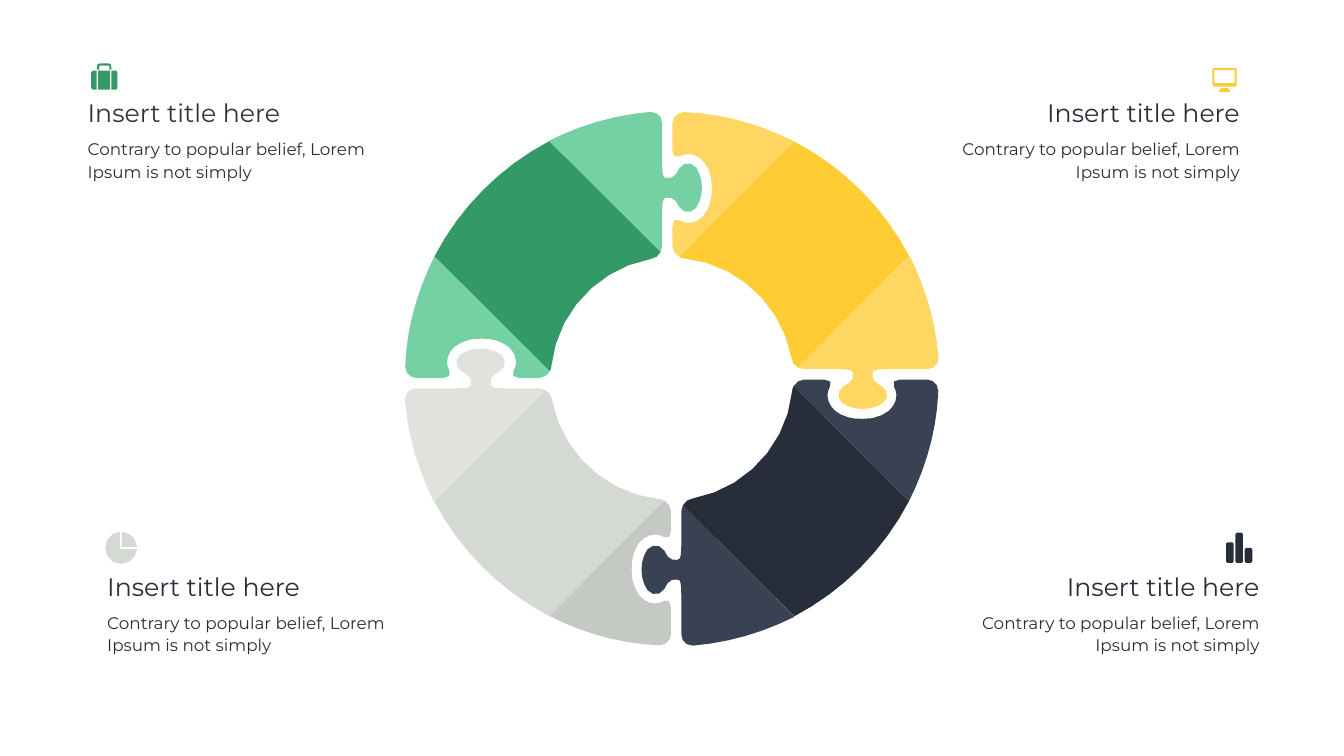
from dataclasses import dataclass
from math import ceil, dist, sqrt

from pptx import Presentation
from pptx.dml.color import RGBColor
from pptx.enum.shapes import MSO_SHAPE
from pptx.enum.text import MSO_AUTO_SIZE, PP_ALIGN
from pptx.util import Inches, Pt


@dataclass(frozen=True)
class Theme:
    font: str = "Montserrat"
    title_size: int = 36
    body_size: int = 24
    charcoal: str = "323232"
    green: str = "339966"
    light_green: str = "75D1A3"
    yellow: str = "FFCC33"
    light_yellow: str = "FFD661"
    navy: str = "272E3A"
    light_navy: str = "384253"
    grey: str = "D5D9D3"
    light_grey: str = "DFE2DD"
    dark_grey: str = "C5C9C3"


THEME = Theme()
RING_CENTER = (13.33, 7.515)

# Contours: a start point, then (x, y) lines or (x1, y1, x2, y2, x, y) Bezier curves.
# The three parts of the upper left ring piece; the other pieces are quarter turns of it.
CORE = [
    (12.91, 5.14), (13, 5.13, 13.07, 5.08, 13.11, 5), (10.9, 2.8),
    (9.93, 3.31, 9.13, 4.11, 8.62, 5.09), (10.91, 7.37),
    (10.93, 7.34, 10.94, 7.3, 10.94, 7.27), (11.05, 6.2, 11.87, 5.33, 12.91, 5.14),
]
SOCKET = [
    (8.04, 7.27), (8.04, 7.4, 8.14, 7.5, 8.26, 7.5), (8.8, 7.5),
    (8.93, 7.5, 8.95, 7.44, 8.92, 7.36), (8.89, 7.3, 8.87, 7.25, 8.87, 7.19),
    (8.87, 7.07, 8.93, 6.96, 9.02, 6.88), (9.16, 6.77, 9.34, 6.71, 9.55, 6.72),
    (9.76, 6.71, 9.95, 6.77, 10.09, 6.88), (10.18, 6.96, 10.24, 7.07, 10.24, 7.19),
    (10.24, 7.25, 10.22, 7.3, 10.19, 7.36), (10.14, 7.44, 10.18, 7.5, 10.31, 7.5),
    (10.7, 7.5), (10.79, 7.5, 10.87, 7.44, 10.91, 7.37), (8.62, 5.09),
    (8.29, 5.75, 8.07, 6.48, 8.04, 7.27),
]
TAB = [
    (13.14, 4.89), (13.14, 4.21), (13.14, 4.1, 13.15, 3.97, 13.17, 3.95),
    (13.22, 3.92), (13.29, 3.92, 13.37, 3.92, 13.41, 3.99),
    (13.48, 4.11), (13.56, 4.23, 13.72, 4.24, 13.81, 4.13),
    (13.89, 4.02, 13.93, 3.87, 13.93, 3.73), (13.93, 3.58, 13.89, 3.43, 13.81, 3.32),
    (13.72, 3.21, 13.56, 3.21, 13.48, 3.34), (13.41, 3.46),
    (13.37, 3.53, 13.29, 3.54, 13.22, 3.53), (13.17, 3.51),
    (13.15, 3.49, 13.14, 3.36, 13.14, 3.23), (13.14, 2.44),
    (13.14, 2.31, 13.04, 2.22, 12.91, 2.22), (12.19, 2.28, 11.52, 2.48, 10.9, 2.79),
    (13.11, 5), (13.14, 4.89),
]
CASE_HANDLE = [
    (1.97, 1.3), (2.17, 1.3), (2.17, 1.38), (2.21, 1.38), (2.21, 1.32),
    (2.21, 1.28, 2.19, 1.26, 2.16, 1.26), (1.98, 1.26),
    (1.95, 1.26, 1.92, 1.28, 1.92, 1.32), (1.92, 1.38), (1.97, 1.38),
]
CASE_RIGHT = [
    (2.3, 1.4), (2.21, 1.4), (2.21, 1.78), (2.3, 1.78), (2.33, 1.75), (2.33, 1.43),
]
CASE_LEFT = [
    (1.81, 1.43), (1.81, 1.75), (1.84, 1.78), (1.92, 1.78), (1.92, 1.4), (1.84, 1.4),
]
MONITOR_FRAME = [
    (24.51, 1.35), (24.09, 1.35), (24.06, 1.37), (24.06, 1.69), (24.09, 1.72),
    (24.51, 1.72), (24.54, 1.69), (24.54, 1.37),
]
MONITOR_SCREEN = [(24.5, 1.65), (24.1, 1.65), (24.1, 1.39), (24.5, 1.39)]
MONITOR_STAND = [
    (24.39, 1.77), (24.37, 1.77), (24.37, 1.75), (24.23, 1.75), (24.23, 1.77),
    (24.21, 1.77), (24.19, 1.8), (24.21, 1.83), (24.39, 1.83), (24.41, 1.8),
]
PIE_REST = [
    (2.38, 10.55), (2.22, 10.56, 2.09, 10.7, 2.09, 10.87),
    (2.09, 11.04, 2.23, 11.19, 2.4, 11.19), (2.57, 11.19, 2.71, 11.05, 2.72, 10.89),
    (2.38, 10.89),
]
PIE_QUARTER = [
    (2.42, 10.55), (2.42, 10.85), (2.72, 10.85), (2.71, 10.69, 2.58, 10.56, 2.42, 10.55),
]


def flatten(contour):
    """Turn a contour into points, with more steps on longer curves."""
    points = [contour[0]]
    for segment in contour[1:]:
        if len(segment) == 2:
            points.append(segment)
            continue
        controls = [points[-1], segment[:2], segment[2:4], segment[4:]]
        steps = ceil(4 * sqrt(dist(controls[0], controls[3])))
        for step in range(1, steps + 1):
            t = step / steps
            weights = ((1 - t) ** 3, 3 * t * (1 - t) ** 2, 3 * t * t * (1 - t), t ** 3)
            points.append(tuple(
                sum(w * control[axis] for w, control in zip(weights, controls))
                for axis in (0, 1)))
    return points


def quarter_turns(point, turns):
    """Rotate a point clockwise about the ring centre."""
    center_x, center_y = RING_CENTER
    x, y = point[0] - center_x, point[1] - center_y
    for _ in range(turns):
        x, y = -y, x
    return center_x + x, center_y + y


class SlideBuilder:
    def __init__(self, slide, theme):
        self.slide = slide
        self.theme = theme

    def group(self):
        return self.slide.shapes.add_group_shape().shapes

    def paint(self, shape, color):
        shape.shadow.inherit = False
        shape.fill.solid()
        shape.fill.fore_color.rgb = RGBColor.from_string(color)
        shape.line.fill.background()

    def outline(self, contours, color, turns=0, shapes=None):
        if shapes is None:
            shapes = self.slide.shapes
        builder = None
        for contour in contours:
            start, *rest = [tuple(Inches(v) for v in quarter_turns(p, turns))
                            for p in flatten(contour)]
            if builder is None:
                builder = shapes.build_freeform(*start)
            else:
                builder.move_to(*start)
            builder.add_line_segments(rest, close=True)
        self.paint(builder.convert_to_shape(), color)

    def block(self, shapes, left, top, width, height, color, radius=0):
        preset = MSO_SHAPE.ROUNDED_RECTANGLE if radius else MSO_SHAPE.RECTANGLE
        shape = shapes.add_shape(preset, *map(Inches, (left, top, width, height)))
        if radius:
            shape.adjustments[0] = radius / min(width, height)
        self.paint(shape, color)

    def ring_piece(self, turns, core, socket, tab):
        for contour, color in ((CORE, core), (SOCKET, socket), (TAB, tab)):
            self.outline([contour], color, turns)

    def text(self, words, left, top, width, height, size, color, align, wrap, spacing=None):
        box = self.slide.shapes.add_textbox(*map(Inches, (left, top, width, height)))
        frame = box.text_frame
        frame.word_wrap = wrap
        frame.auto_size = MSO_AUTO_SIZE.SHAPE_TO_FIT_TEXT
        paragraph = frame.paragraphs[0]
        paragraph.text = words
        paragraph.alignment = align
        paragraph.line_spacing = spacing
        paragraph.font.name = self.theme.font
        paragraph.font.size = Pt(size)
        paragraph.font.color.rgb = RGBColor.from_string(color)

    def callout(self, edge, top, align, title_color):
        """Title and body that share the outer edge they are aligned to."""
        title_width, body_width = 4.1, 6.13
        shift = 1 if align == PP_ALIGN.RIGHT else 0
        self.text("Insert title here", edge - shift * title_width, top, title_width, 0.71,
                  self.theme.title_size, title_color, align, False)
        self.text("Contrary to popular belief, Lorem Ipsum is not simply",
                  edge - shift * body_width, top + 0.79, body_width, 0.97,
                  self.theme.body_size, self.theme.navy, align, True, 1.1)

    def icon(self, color, *outlines):
        shapes = self.group()
        for contours in outlines:
            self.outline(contours, color, shapes=shapes)
        return shapes


def main():
    deck = Presentation()
    deck.slide_width, deck.slide_height = Inches(26.67), Inches(15)
    t = THEME
    page = SlideBuilder(deck.slides.add_slide(deck.slide_layouts[6]), t)

    page.ring_piece(0, t.green, t.light_green, t.light_green)
    page.ring_piece(3, t.grey, t.dark_grey, t.light_grey)
    page.ring_piece(1, t.yellow, t.light_yellow, t.light_yellow)
    page.ring_piece(2, t.navy, t.light_navy, t.light_navy)

    page.callout(1.64, 1.88, PP_ALIGN.LEFT, t.charcoal)
    page.callout(24.7, 1.88, PP_ALIGN.RIGHT, t.navy)
    page.callout(2.03, 11.28, PP_ALIGN.LEFT, t.navy)
    page.callout(25.09, 11.28, PP_ALIGN.RIGHT, t.navy)

    suitcase = page.icon(t.green, [CASE_HANDLE], [CASE_RIGHT], [CASE_LEFT])
    page.block(suitcase, 1.95, 1.4, 0.23, 0.38, t.green)
    page.icon(t.yellow, [MONITOR_FRAME, MONITOR_SCREEN], [MONITOR_STAND])
    page.icon(t.grey, [PIE_REST], [PIE_QUARTER])
    bars = page.group()
    for index, height in enumerate((0.41, 0.6, 0.3)):
        page.block(bars, 24.33 + index * 0.185, 11.17 - height, 0.15, height, t.navy, 0.04)

    deck.save("out.pptx")


if __name__ == "__main__":
    main()
